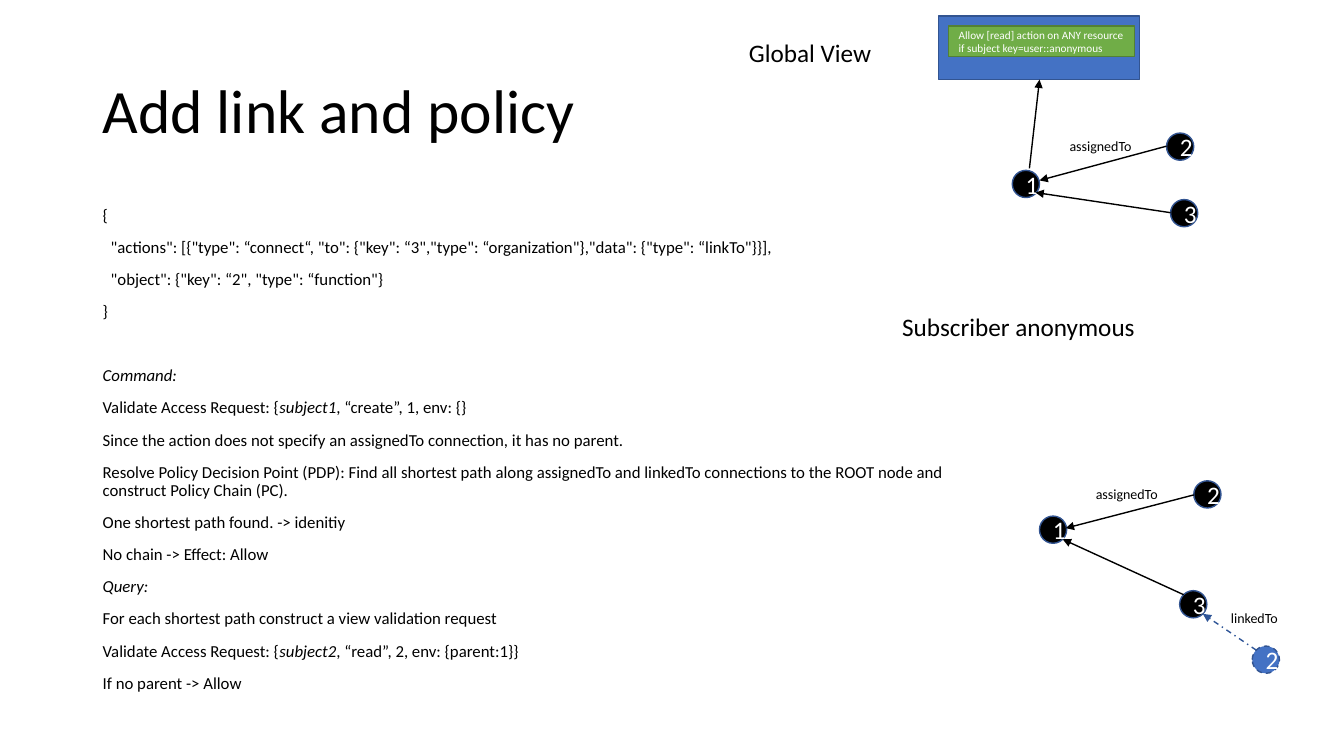
from lxml import etree
from pptx import Presentation
from pptx.dml.color import RGBColor
from pptx.enum.dml import MSO_LINE_DASH_STYLE as DASH
from pptx.enum.shapes import MSO_CONNECTOR, MSO_SHAPE
from pptx.enum.text import MSO_ANCHOR, PP_ALIGN
from pptx.oxml.ns import qn
from pptx.util import Inches, Pt

COLORS = {
    "black": "000000", "white": "FFFFFF", "blue": "4472C4", "green": "70AD47",
    "blue_edge": "325491", "green_edge": "538035", "link": "2F5597",
}
FONT = "Calibri"
NODE_SIZE = 0.27


def rgb(name):
    return RGBColor.from_string(COLORS[name])


def style_text(paragraph, size, color):
    for run in paragraph.runs:
        run.font.name = FONT
        run.font.size = Pt(size)
        run.font.color.rgb = rgb(color)


prs = Presentation()
prs.slide_width, prs.slide_height = Inches(13.33), Inches(7.5)
slide = prs.slides.add_slide(prs.slide_layouts[6])
shapes = slide.shapes

# Title
title = shapes.add_textbox(Inches(0.92), Inches(0.4), Inches(5.96), Inches(1.45))
title.text_frame.word_wrap = True
title.text_frame.vertical_anchor = MSO_ANCHOR.MIDDLE
title.text_frame.text = "Add link and policy"
title.text_frame.paragraphs[0].line_spacing = 0.9
style_text(title.text_frame.paragraphs[0], 44, "black")

# Request and its evaluation: space before, left indent, runs (odd ones italic)
steps = [
    (10, 0, ["{"]),
    (10, 0.08, ['"actions": [{"type": “connect“, "to": {"key": “3","type": “organization"},'
                '"data": {"type": “linkTo"}}],']),
    (10, 0.08, ['"object": {"key": “2", "type": “function"}']),
    (10, 0, ["}"]),
    (33, 0, ["", "Command:"]),
    (10, 0, ["Validate Access Request: {", "subject1", ", “create”, 1, env: {}"]),
    (10, 0, ["Since the action does not specify an assignedTo connection, it has no parent."]),
    (10, 0, ["Resolve Policy Decision Point (PDP): Find all shortest path along assignedTo and "
             "linkedTo connections to the ROOT node and construct Policy Chain (PC)."]),
    (10, 0, ["One shortest path found. -> idenitiy"]),
    (10, 0, ["No chain -> Effect: Allow"]),
    (10, 0, ["", "Query:"]),
    (10, 0, ["For each shortest path construct a view validation request"]),
    (10, 0, ["Validate Access Request: {", "subject2", ", “read”, 2, env: {parent:1}}"]),
    (10, 0, ["If no parent -> Allow"]),
]
body = shapes.add_textbox(Inches(0.92), Inches(2), Inches(8.63), Inches(4.98))
body.text_frame.word_wrap = True
for index, (gap, indent, pieces) in enumerate(steps):
    step = body.text_frame.add_paragraph() if index else body.text_frame.paragraphs[0]
    step.line_spacing = 0.9
    step.space_before = Pt(gap)
    if indent:
        step._p.get_or_add_pPr().set("marL", str(Inches(indent)))
    for position, piece in enumerate(pieces):
        if piece:
            run = step.add_run()
            run.text = piece
            run.font.italic = position % 2 == 1
    style_text(step, 12, "black")

# View headings and link labels
labels = [
    ("Global View", 7.33, 0.32, 1.43, 0.4, 18),
    ("Subscriber anonymous", 8.85, 3.04, 2.53, 0.4, 18),
    ("assignedTo", 10.51, 1.32, 0.87, 0.27, 10),
    ("assignedTo", 10.77, 4.77, 0.87, 0.27, 10),
    ("linkedTo", 12.11, 6, 0.69, 0.27, 10),
]
for text, left, top, width, height, size in labels:
    label = shapes.add_textbox(Inches(left), Inches(top), Inches(width), Inches(height))
    label.text_frame.word_wrap = False
    label.text_frame.text = text
    style_text(label.text_frame.paragraphs[0], size, "black")

# Nodes of both views, and the policy box with its rule
node_places = [
    ("1", 10.04, 1.69, "black"), ("2", 11.57, 1.32, "black"), ("3", 11.61, 1.98, "black"),
    ("1", 10.31, 5.12, "black"), ("2", 11.84, 4.77, "black"), ("3", 11.7, 5.86, "black"),
    ("2", 12.42, 6.41, "blue"),
]
blocks = [
    (MSO_SHAPE.OVAL, number, left, top, NODE_SIZE, NODE_SIZE, fill, "blue_edge", 18, PP_ALIGN.CENTER)
    for number, left, top, fill in node_places
] + [
    (MSO_SHAPE.RECTANGLE, "", 9.31, 0.16, 1.99, 0.63, "blue", "blue_edge", 18, PP_ALIGN.CENTER),
    (MSO_SHAPE.RECTANGLE, "Allow [read] action on ANY resource if subject key=user::anonymous",
     9.41, 0.26, 1.84, 0.3, "green", "green_edge", 8, PP_ALIGN.LEFT),
]
for kind, text, left, top, width, height, fill, edge, size, align in blocks:
    block = shapes.add_shape(kind, Inches(left), Inches(top), Inches(width), Inches(height))
    block.shadow.inherit = False
    block.fill.solid()
    block.fill.fore_color.rgb = rgb(fill)
    block.line.color.rgb = rgb(edge)
    block.line.width = Pt(1)
    if kind == MSO_SHAPE.OVAL and fill == "blue":
        block.line.dash_style = DASH.DASH
    if text:
        block.text_frame.text = text
        block.text_frame.vertical_anchor = MSO_ANCHOR.MIDDLE
        block.text_frame.paragraphs[0].alignment = align
        style_text(block.text_frame.paragraphs[0], size, "white")

# Arrows between nodes
arrows = [
    (11.57, 1.45, 10.31, 1.79, "black"),
    (11.61, 2.11, 10.27, 1.91, "black"),
    (10.21, 1.67, 10.31, 0.79, "black"),
    (11.84, 4.91, 10.57, 5.24, "black"),
    (11.74, 5.9, 10.54, 5.35, "black"),
    (12.46, 6.45, 11.93, 6.09, "link"),
]
for x1, y1, x2, y2, color in arrows:
    arrow = shapes.add_connector(
        MSO_CONNECTOR.STRAIGHT, Inches(x1), Inches(y1), Inches(x2), Inches(y2))
    arrow.line.color.rgb = rgb(color)
    arrow.line.width = Pt(1)
    if color == "link":
        arrow.line.dash_style = DASH.DASH_DOT
    etree.SubElement(arrow.line._get_or_add_ln(), qn("a:tailEnd"), type="triangle")
    etree.SubElement(arrow._element.spPr, qn("a:effectLst"))

prs.save("out.pptx")
